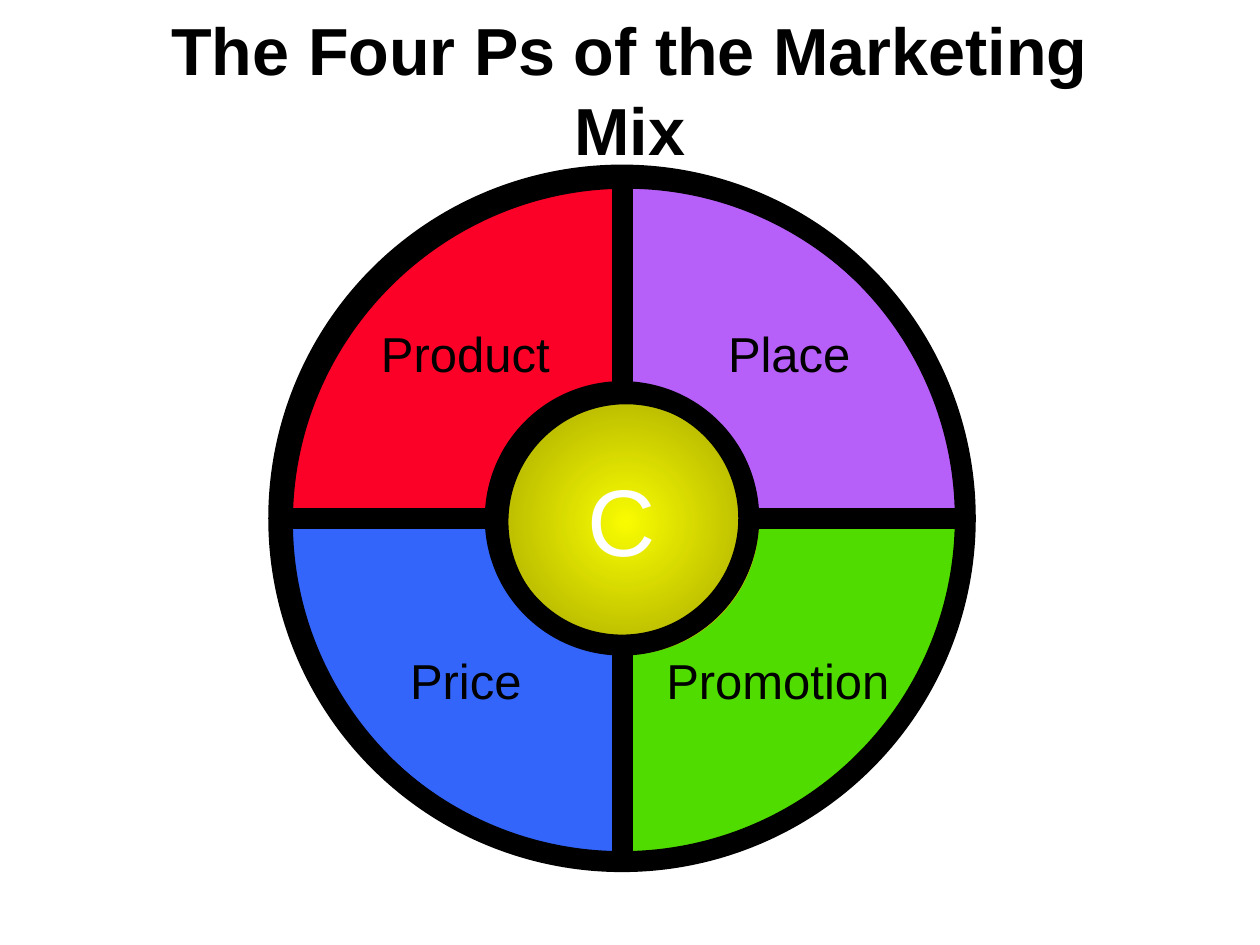
import math
from pptx import Presentation
from pptx import util as u
from pptx.dml import color
from pptx.enum import shapes, text
from pptx.oxml import ns
from lxml import etree

COLORS = {
    "black": "000000", "white": "FFFFFF", "place": "B760F9",
    "promotion": "51DC00", "price": "3365FB", "product": "FC0128",
}
QUADRANTS = [("place", -90), ("promotion", 0), ("price", 90), ("product", 180)]
LABELS = [
    ("Product", -3.16, -3.33, 3.95), ("Place", 3.37, -3.33, 3),
    ("Price", -3.15, 3.26, 2.85), ("Promotion", 3.14, 3.26, 5.05),
]
THIN, THICK = 8.25, 12


def rgb(value):
    """Return a colour from a hex string."""
    return color.RGBColor.from_string(value)


def point(center, radius, degrees):
    """Return the point at a radius and clockwise angle, in centimetres."""
    angle = math.radians(degrees)
    return center[0] + radius * math.cos(angle), center[1] + radius * math.sin(angle)


def paint(shape, fill=None, line=None):
    """Give a shape a plain fill and a black outline, or none of either."""
    shape.shadow.inherit = False
    if fill:
        shape.fill.solid()
        shape.fill.fore_color.rgb = rgb(fill)
    else:
        shape.fill.background()
    if line:
        shape.line.color.rgb = rgb(COLORS["black"])
        shape.line.width = u.Pt(line)
    else:
        shape.line.fill.background()


def bend(shape):
    """Turn the first three segments of a freeform into one Bezier curve."""
    segments = list(shape._element.iter(ns.qn("a:lnTo")))[:3]
    curve = etree.Element(ns.qn("a:cubicBezTo"))
    segments[0].addprevious(curve)
    for segment in segments:
        curve.append(segment[0])
        segment.getparent().remove(segment)


def add_curve(parent, center, radius, start, fill=None, line=None):
    """Draw a quarter circle: a filled sector or an open outlined arc."""
    handle = 0.55 * radius
    first, last = (point(center, radius, start + turn) for turn in (0, 90))
    corners = [first, point(first, handle, start + 90), point(last, handle, start), last]
    if fill:
        corners.append(center)
    points = [tuple(u.Cm(value) for value in corner) for corner in corners]
    builder = parent.shapes.build_freeform(*points[0])
    builder.add_line_segments(points[1:], close=bool(fill))
    shape = builder.convert_to_shape()
    bend(shape)
    paint(shape, fill, line)


def add_circle(parent, center, diameter, fill=None, line=None):
    """Draw a circle around a centre."""
    left, top = (u.Cm(value - diameter / 2) for value in center)
    size = u.Cm(diameter)
    circle = parent.shapes.add_shape(shapes.MSO_SHAPE.OVAL, left, top, size, size)
    paint(circle, fill, line)


def add_spoke(parent, center, inner, outer, degrees, width):
    """Draw a straight black spoke between two radii."""
    ends = point(center, inner, degrees) + point(center, outer, degrees)
    spoke = parent.shapes.add_connector(
        shapes.MSO_CONNECTOR.STRAIGHT, *(u.Cm(value) for value in ends))
    spoke.line.color.rgb = rgb(COLORS["black"])
    spoke.line.width = u.Pt(width)
    etree.SubElement(spoke._element.spPr, ns.qn("a:effectLst"))


def write(shape, wording, frame_format, font_format, font_color):
    """Write one centred paragraph in a shape."""
    frame = shape.text_frame
    frame.text = wording
    for name, value in frame_format.items():
        setattr(frame, name, value)
    paragraph = frame.paragraphs[0]
    paragraph.alignment = text.PP_ALIGN.CENTER
    for name, value in font_format.items():
        setattr(paragraph.font, name, value)
    paragraph.font.color.rgb = rgb(font_color)


def add_label(parent, wording, center, width, height, size, font_color):
    """Add a text box around a centre."""
    box = parent.shapes.add_textbox(
        u.Cm(center[0] - width / 2), u.Cm(center[1] - height / 2), u.Cm(width), u.Cm(height))
    write(box, wording,
          {"word_wrap": False, "vertical_anchor": text.MSO_ANCHOR.MIDDLE},
          {"name": "Arial", "size": u.Pt(size)}, font_color)


def add_title(slide, left, top, width, height):
    """Place and format the slide title."""
    title = slide.shapes.title
    box = {"left": left, "top": top, "width": width, "height": height}
    for name, value in box.items():
        setattr(title, name, u.Cm(value))
    write(title, "The Four Ps of the Marketing Mix",
          {"word_wrap": True, "auto_size": text.MSO_AUTO_SIZE.NONE,
           "vertical_anchor": text.MSO_ANCHOR.MIDDLE},
          {"name": "Arial", "size": u.Pt(38), "bold": True}, COLORS["black"])


def add_quadrant(slide, center, hub, radius, name, start):
    """Draw one coloured quarter of the wheel with its arcs and spoke."""
    group = slide.shapes.add_group_shape()
    for outer in (radius, 2.26):
        add_curve(group, center, outer, start, fill=COLORS[name])
        add_curve(group, center, outer - 0.16, start, line=THIN)
    add_spoke(group, hub, 2.1, radius, start, THIN)


def add_glow(slide, center):
    """Stack shrinking circles that brighten towards the centre."""
    last = 68
    for step in range(last + 1):
        red, green = 182 + round(67 * step / last), 184 + step
        diameter = 5.36 - 5.26 * step / last
        add_circle(slide, center, diameter, fill=f"{red:02X}{green:02X}00")
    add_circle(slide, center, 5.03, line=THIN)


def add_frame(slide, hub):
    """Draw the heavy rings and spokes, and the labels over them."""
    group = slide.shapes.add_group_shape()
    for diameter in (13.84, 5.11):
        add_circle(group, hub, diameter, line=THICK)
    for _, degrees in QUADRANTS:
        add_spoke(group, hub, 2.64, 6.8, degrees, THICK)
    for wording, across, down, width in LABELS:
        add_label(group, wording, (hub[0] + across, hub[1] + down), width, 1.42, 28,
                  COLORS["black"])
    add_label(group, "C", hub, 1.88, 2.54, 54, COLORS["white"])


def add_wheel(slide, left, top, size):
    """Draw the marketing mix wheel in a square box."""
    radius = size / 2
    center = left + radius, top + radius
    hub = center[0] - 0.08, center[1] - 0.07
    for name, start in QUADRANTS:
        add_quadrant(slide, center, hub, radius, name, start)
    add_glow(slide, center)
    add_frame(slide, hub)


def main():
    """Build and save the presentation."""
    presentation = Presentation()
    presentation.slide_width, presentation.slide_height = u.Cm(25.4), u.Cm(19.05)
    slide = presentation.slides.add_slide(presentation.slide_layouts[5])
    add_title(slide, 1.9, 0.2, 21.6, 3.18)
    add_wheel(slide, 5.6, 3.5, 14.04)
    presentation.save("out.pptx")


if __name__ == "__main__":
    main()
